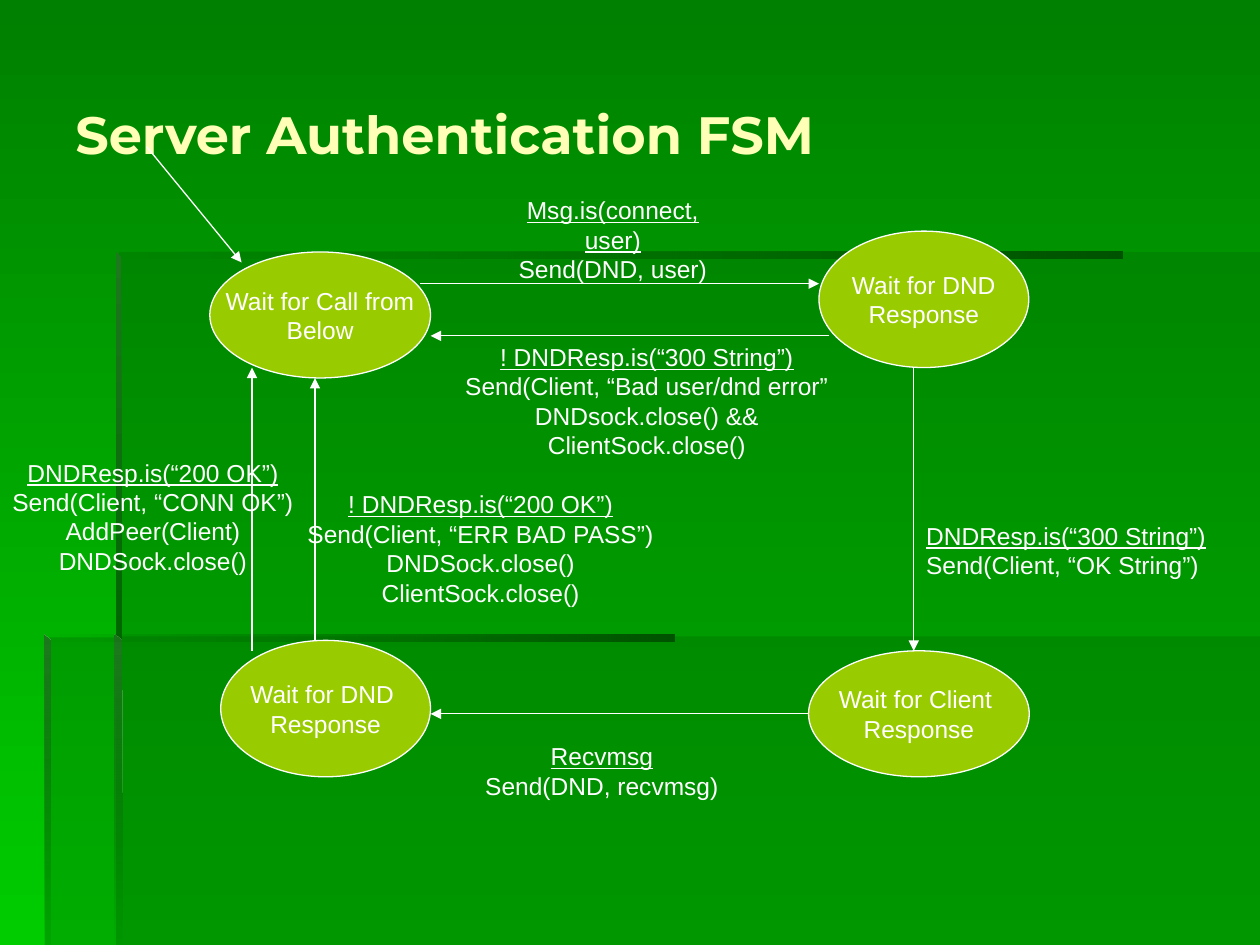
from dataclasses import dataclass

from lxml.etree import SubElement
from pptx import Presentation
from pptx.dml.color import RGBColor
from pptx.enum.shapes import MSO_CONNECTOR, MSO_SHAPE
from pptx.enum.text import MSO_ANCHOR, MSO_AUTO_SIZE, PP_ALIGN
from pptx.oxml.ns import qn
from pptx.util import Cm, Pt


@dataclass(frozen=True)
class Theme:
    back_top: str = "008000"
    back_bottom: str = "00CC00"
    panel: str = "006600"
    groove: str = "005300"
    ridge: str = "1E781E"
    state: str = "99CC00"
    ink: str = "FFFFFF"
    title: str = "FFFFB7"
    title_font: str = "Montserrat"
    body_font: str = "Arial"
    title_size: int = 30
    body_size: int = 14
    line_width: float = 0.75


THEME = Theme()
WIDTH, HEIGHT = 25.4, 19.05
DOWN, LEFTWARD = 270, 180  # gradient angles, counter-clockwise

PANEL = [(THEME.panel, 30)]
GROOVE = [(THEME.groove, 100), (THEME.panel, 0)]


def ridge(end_opacity):
    return [(THEME.ridge, 100), (THEME.panel, end_opacity)]


def box(left, top, right, bottom):
    return [(left, top), (left, bottom), (right, bottom), (right, top)]


# outline, colour stops with opacity in percent, gradient angle
DECOR = [
    (box(2.34, 12.83, WIDTH, HEIGHT), PANEL, None),
    ([(2.39, 12.85), (0.91, 12.85), (0.91, HEIGHT), (WIDTH, HEIGHT),
      (WIDTH, 5.08), (2.39, 5.08)], PANEL, None),
    (box(2.34, 5.08, 22.63, 5.21), GROOVE, LEFTWARD),
    ([(2.34, 5.08), (2.34, 12.95), (2.46, 12.95), (2.44, 5.18)], ridge(100), DOWN),
    ([(2.31, HEIGHT), (2.46, HEIGHT), (2.44, 12.9), (2.31, 12.8)], ridge(0), DOWN),
    (box(0.89, 12.8, 13.59, 12.93), GROOVE, LEFTWARD),
    ([(0.89, 12.8), (0.89, HEIGHT), (1.02, HEIGHT), (1.02, 12.93)], ridge(10), DOWN),
]

STATES = [
    ((4.23, 5.08, 4.45, 2.54), ["Wait for Call from", "Below"]),
    ((16.51, 4.66, 4.23, 2.75), ["Wait for DND", "Response"]),
    ((16.3, 13.12, 4.45, 2.54), ["Wait for Client ", "Response"]),
    ((4.45, 12.91, 4.23, 2.75), ["Wait for DND ", "Response"]),
]

ARROWS = [
    (8.47, 5.72, 16.51, 5.72),
    (18.42, 7.41, 18.42, 13.12),
    (16.72, 6.77, 8.68, 6.77),
    (16.3, 14.39, 8.68, 14.39),
    (6.35, 12.91, 6.35, 7.62),
    (5.08, 13.12, 5.08, 7.41),
    (2.96, 2.96, 4.87, 5.29),
]

# place, alignment, event followed by its actions
TRANSITIONS = [
    ((9.74, 3.81, 5.23, 1.45), PP_ALIGN.CENTER,
     ["Msg.is(connect, user)", "Send(DND, user)"]),
    ((5.93, 9.74, 7.52, 2.64), PP_ALIGN.CENTER,
     ["! DNDResp.is(“200 OK”)", "Send(Client, “ERR BAD PASS”)",
      "DNDSock.close()", "ClientSock.close()"]),
    ((9.53, 14.82, 5.21, 1.45), PP_ALIGN.CENTER,
     ["Recvmsg", "Send(DND, recvmsg)"]),
    ((18.42, 10.37, 6.15, 1.45), PP_ALIGN.LEFT,
     ["DNDResp.is(“300 String”)", "Send(Client, “OK String”)"]),
    ((8.47, 6.77, 9.14, 2.03), PP_ALIGN.CENTER,
     ["! DNDResp.is(“300 String”)", "Send(Client, “Bad user/dnd error”",
      "DNDsock.close() && ClientSock.close()"]),
    ((0, 9.1, 6.17, 2.64), PP_ALIGN.CENTER,
     ["DNDResp.is(“200 OK”)", "Send(Client, “CONN OK”)",
      "AddPeer(Client)", "DNDSock.close()"]),
]


def rgb(value):
    return RGBColor.from_string(value)


def cm(values):
    return [Cm(v) for v in values]


def set_gradient(fill, colours, angle):
    fill.gradient()
    fill.gradient_angle = angle
    for stop, colour in zip(fill.gradient_stops, colours):
        stop.color.rgb = rgb(colour)


def write(tf, lines, align=PP_ALIGN.CENTER):
    tf.text = "\n".join(lines)
    for p in tf.paragraphs:
        p.alignment = align
        for r in p.runs:
            r.font.name = THEME.body_font
            r.font.size = Pt(THEME.body_size)
            r.font.color.rgb = rgb(THEME.ink)


def add_decor(slide, points, stops, angle):
    start, *rest = [cm(point) for point in points]
    builder = slide.shapes.build_freeform(*start)
    builder.add_line_segments(rest, close=True)
    s = builder.convert_to_shape()
    s.shadow.inherit = False
    if len(stops) == 1:
        s.fill.solid()
        s.fill.fore_color.rgb = rgb(stops[0][0])
    else:
        set_gradient(s.fill, [colour for colour, _ in stops], angle)
    for clr, (_, opacity) in zip(s.element.spPr.iter(qn("a:srgbClr")), stops):
        if opacity < 100:
            SubElement(clr, qn("a:alpha"), val=str(opacity * 1000))
    s.line.fill.background()


def add_title(slide, text):
    s = slide.shapes.add_textbox(*cm((1.27, 0.69, 23.29, 3.99)))
    tf = s.text_frame
    tf.word_wrap = True
    tf.vertical_anchor = MSO_ANCHOR.MIDDLE
    tf.text = text
    font = tf.paragraphs[0].runs[0].font
    font.name = THEME.title_font
    font.size = Pt(THEME.title_size)
    font.bold = True
    font.color.rgb = rgb(THEME.title)


def add_state(slide, place, lines):
    s = slide.shapes.add_shape(MSO_SHAPE.OVAL, *cm(place))
    s.shadow.inherit = False
    s.fill.solid()
    s.fill.fore_color.rgb = rgb(THEME.state)
    s.line.color.rgb = rgb(THEME.ink)
    s.line.width = Pt(THEME.line_width)
    s.text_frame.word_wrap = False
    s.text_frame.vertical_anchor = MSO_ANCHOR.MIDDLE
    write(s.text_frame, lines)


def add_arrow(slide, ends):
    c = slide.shapes.add_connector(MSO_CONNECTOR.STRAIGHT, *cm(ends))
    c.line.color.rgb = rgb(THEME.ink)
    c.line.width = Pt(THEME.line_width)
    SubElement(c.line._get_or_add_ln(), qn("a:tailEnd"), type="triangle")
    SubElement(c.element.spPr, qn("a:effectLst"))


def add_transition(slide, place, align, lines):
    """Label an arrow with its underlined event above its actions."""
    tf = slide.shapes.add_textbox(*cm(place)).text_frame
    tf.word_wrap = False
    tf.auto_size = MSO_AUTO_SIZE.SHAPE_TO_FIT_TEXT
    write(tf, lines, align)
    tf.paragraphs[0].runs[0].font.underline = True


def main():
    prs = Presentation()
    prs.slide_width, prs.slide_height = Cm(WIDTH), Cm(HEIGHT)
    slide = prs.slides.add_slide(prs.slide_layouts[6])
    set_gradient(slide.background.fill, [THEME.back_top, THEME.back_bottom], DOWN)
    for decor in DECOR:
        add_decor(slide, *decor)
    add_title(slide, "Server Authentication FSM")
    for state in STATES:
        add_state(slide, *state)
    for ends in ARROWS:
        add_arrow(slide, ends)
    for transition in TRANSITIONS:
        add_transition(slide, *transition)
    prs.save("out.pptx")


if __name__ == "__main__":
    main()
